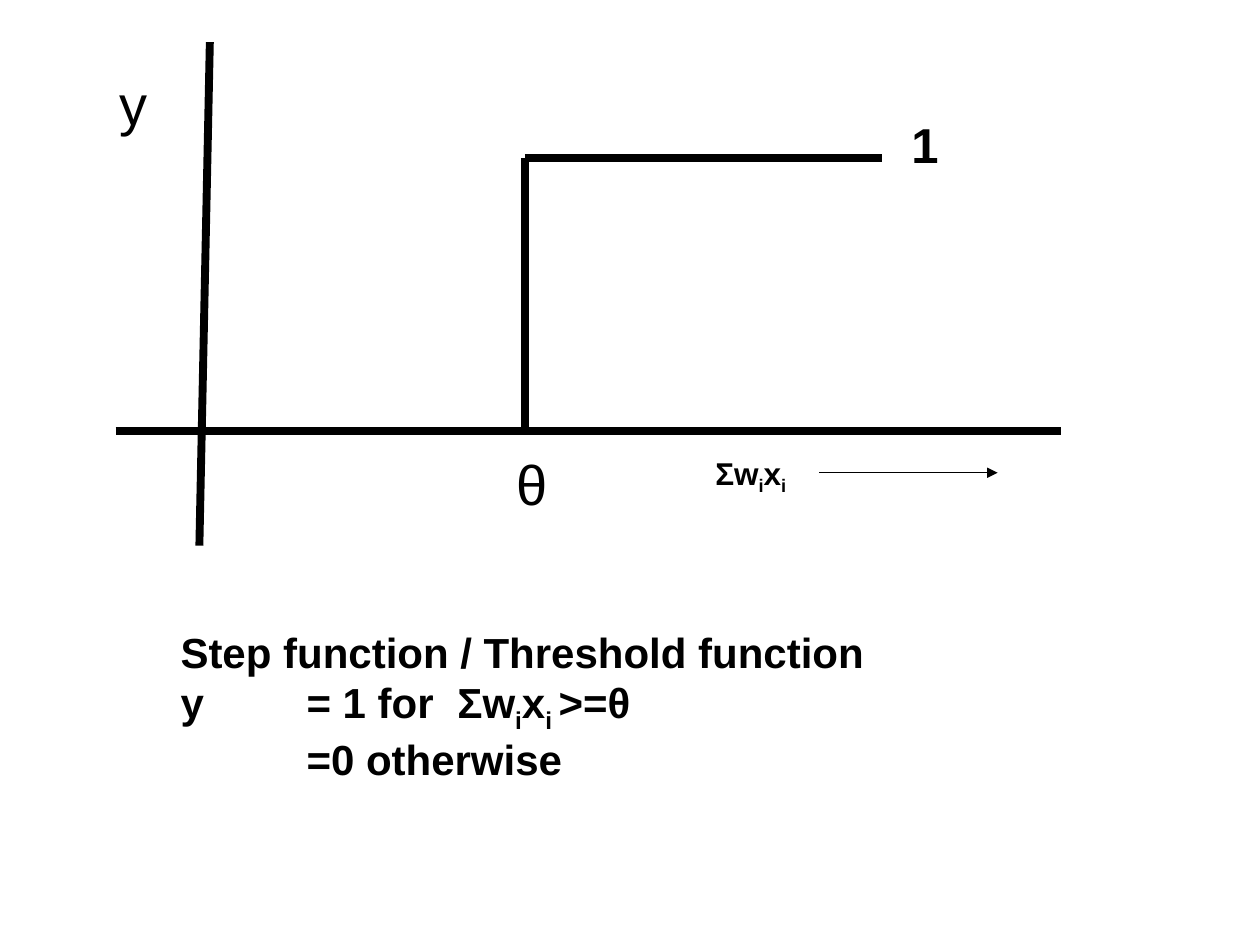
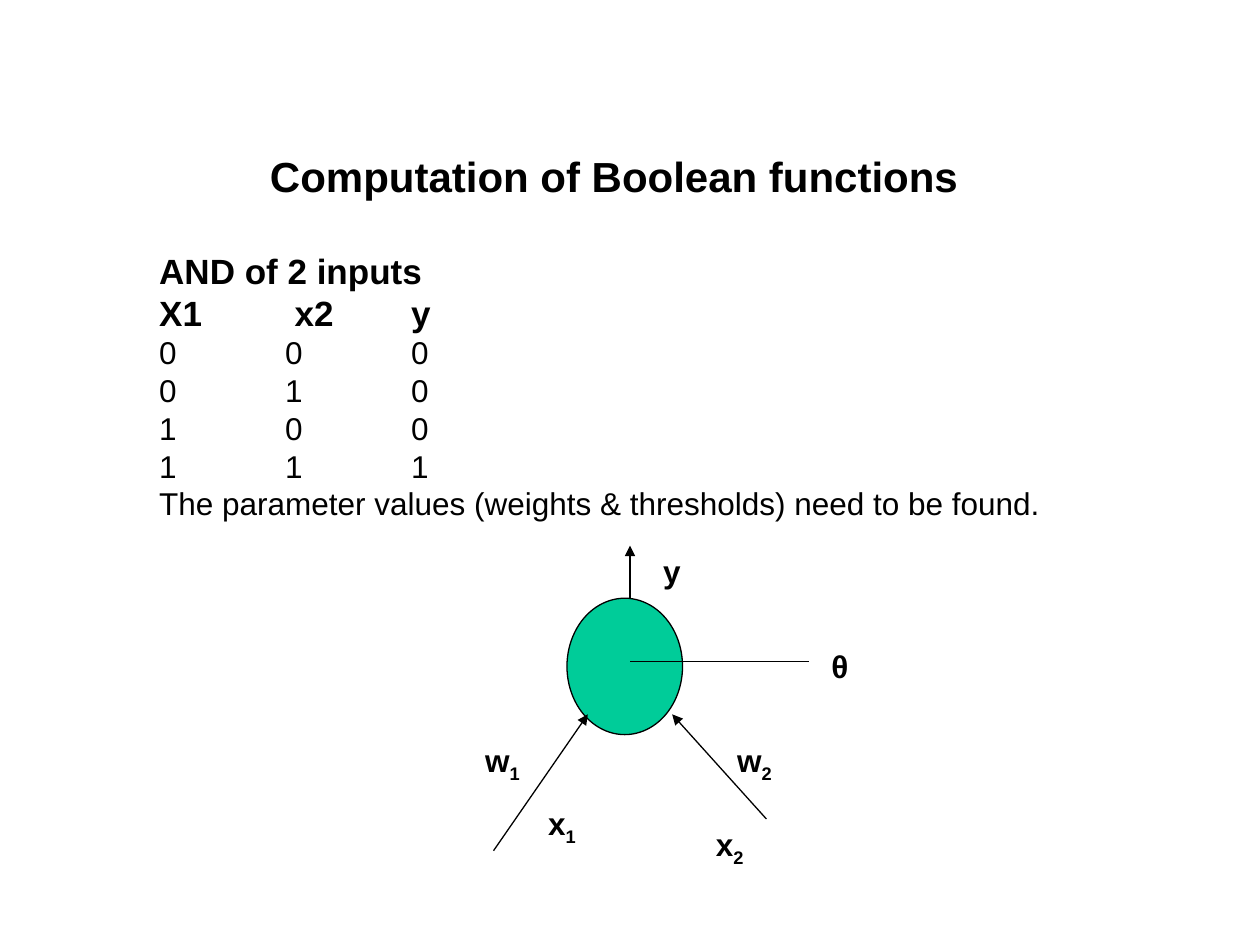
from lxml import etree
from pptx import Presentation
from pptx.dml.color import RGBColor
from pptx.enum.shapes import MSO_CONNECTOR, MSO_SHAPE
from pptx.enum.text import MSO_AUTO_SIZE, PP_ALIGN
from pptx.oxml.ns import qn
from pptx.util import Cm, Pt

STRAIGHT = MSO_CONNECTOR.STRAIGHT
OVAL = MSO_SHAPE.OVAL
FIT_TEXT = MSO_AUTO_SIZE.SHAPE_TO_FIT_TEXT
LEFT, CENTER = PP_ALIGN.LEFT, PP_ALIGN.CENTER

FONT = "Arial"
COLORS = {"ink": "000000", "neuron": "00CC99"}
THICK, THIN = 4.5, 0.75
BLANK_LAYOUT = 6


def color(name):
    return RGBColor.from_string(COLORS[name])


def add_tab_stops(paragraph, stops):
    properties = paragraph._p.get_or_add_pPr()
    tab_list = etree.SubElement(properties, qn("a:tabLst"))
    for stop in stops:
        etree.SubElement(tab_list, qn("a:tab"), pos=str(Cm(stop)), algn="l")


def write_text(paragraph, text, size=18, bold=True, align=LEFT, after=0, tabs=()):
    """Fill a paragraph; the character after each underscore is a subscript."""
    paragraph.alignment = align
    paragraph.space_after = Pt(after)
    if tabs:
        add_tab_stops(paragraph, tabs)
    first, *others = text.split("_")
    pieces = [(first, False)]
    for part in others:
        pieces += [(part[0], True), (part[1:], False)]
    for piece, subscript in pieces:
        if not piece:
            continue
        run = paragraph.add_run()
        run.text = piece
        run.font.name = FONT
        run.font.size = Pt(size)
        run.font.bold = bold
        run.font.color.rgb = color("ink")
        if subscript:
            run._r.get_or_add_rPr().set("baseline", "-25000")


def add_text_box(slide, left, top, width, height, wrap=True):
    box = slide.shapes.add_textbox(Cm(left), Cm(top), Cm(width), Cm(height))
    box.text_frame.word_wrap = wrap
    box.text_frame.auto_size = FIT_TEXT
    return box.text_frame


def add_label(slide, text, left, top, width, height=1.02, **text_format):
    frame = add_text_box(slide, left, top, width, height, wrap=False)
    write_text(frame.paragraphs[0], text, **text_format)


def add_lines(frame, lines):
    """Write (text, format) pairs, one paragraph each."""
    for index, (text, text_format) in enumerate(lines):
        paragraph = frame.add_paragraph() if index else frame.paragraphs[0]
        write_text(paragraph, text, **text_format)


def add_line(slide, start, end, width=THIN, arrow=False):
    points = [Cm(value) for value in (*start, *end)]
    connector = slide.shapes.add_connector(STRAIGHT, *points)
    connector.line.color.rgb = color("ink")
    connector.line.width = Pt(width)
    if arrow:
        etree.SubElement(connector.line._get_or_add_ln(), qn("a:tailEnd"), type="triangle")
    etree.SubElement(connector._element.spPr, qn("a:effectLst"))


def add_neuron(slide, left, top, width, height):
    neuron = slide.shapes.add_shape(OVAL, Cm(left), Cm(top), Cm(width), Cm(height))
    neuron.shadow.inherit = False
    neuron.fill.solid()
    neuron.fill.fore_color.rgb = color("neuron")
    neuron.line.color.rgb = color("ink")
    neuron.line.width = Pt(THIN)


def build_step_function(slide):
    axis_y, step_x, step_y = 8.68, 10.58, 3.18
    add_line(slide, (4.23, 0.85), (4.02, 11), THICK)
    add_line(slide, (2.33, axis_y), (21.38, axis_y), THICK)
    add_line(slide, (step_x, step_y), (step_x, axis_y), THICK)
    add_line(slide, (step_x, step_y), (17.78, step_y), THICK)

    symbol = {"size": 32, "bold": False, "align": CENTER}
    add_label(slide, "θ", 10.16, 8.94, 1.14, 1.6, **symbol)
    add_label(slide, "y", 2.16, 1.27, 1.07, 1.6, **symbol)
    add_label(slide, "1", 18.11, 2.18, 1.07, 1.45, size=28, align=CENTER)
    add_label(slide, "Σw_ix_i", 14.17, 9.02, 2.34)
    add_line(slide, (16.51, 9.53), (20.11, 9.53), arrow=True)

    definition = {"size": 24, "tabs": (2.54, 5.58, 7.62)}
    frame = add_text_box(slide, 3.39, 12.5, 15.88, 4.32)
    add_lines(frame, [
        ("Step function / Threshold function", {"size": 24}),
        ("y\t= 1 for\tΣw_ix_i\t>=θ", definition),
        ("\t=0 otherwise", definition),
    ])


def build_boolean_functions(slide):
    plain = {"bold": False}
    row_format = {"bold": False, "tabs": (2.54, 5.08)}
    and_rows = [(a, b, a & b) for a in (0, 1) for b in (0, 1)]
    frame = add_text_box(slide, 2.96, 2.91, 18.84, 7.79)
    add_lines(frame, [
        ("Computation of Boolean functions", {"size": 24, "align": CENTER, "after": 27.6}),
        ("AND of 2 inputs", {"size": 20}),
        ("X1\tx2\ty", {"size": 20, "tabs": (2.73, 5.08)}),
        *[("\t".join(map(str, row)), row_format) for row in and_rows],
        ("The parameter values (weights & thresholds) need to be found.", plain),
    ])

    add_neuron(slide, 11.43, 12.06, 2.33, 2.75)
    center_x, threshold_y, input_y = 12.7, 13.34, 14.4
    add_line(slide, (9.95, 17.15), (11.85, input_y), arrow=True)
    add_line(slide, (15.45, 16.51), (13.55, input_y), arrow=True)
    add_line(slide, (center_x, 12.06), (center_x, 11), arrow=True)
    add_line(slide, (center_x, threshold_y), (16.3, threshold_y))

    for text, left, top, width in [
        ("y", 13.12, 11, 0.86),
        ("w_1", 9.53, 14.82, 1.24),
        ("w_2", 14.61, 14.82, 1.24),
        ("x_1", 10.8, 16.09, 1.09),
        ("x_2", 14.18, 16.51, 1.09),
        ("θ", 16.51, 12.91, 0.86),
    ]:
        add_label(slide, text, left, top, width)


def main():
    presentation = Presentation()
    presentation.slide_width = Cm(25.4)
    presentation.slide_height = Cm(19.05)
    layout = presentation.slide_layouts[BLANK_LAYOUT]
    for build in (build_step_function, build_boolean_functions):
        build(presentation.slides.add_slide(layout))
    presentation.save("out.pptx")


if __name__ == "__main__":
    main()
